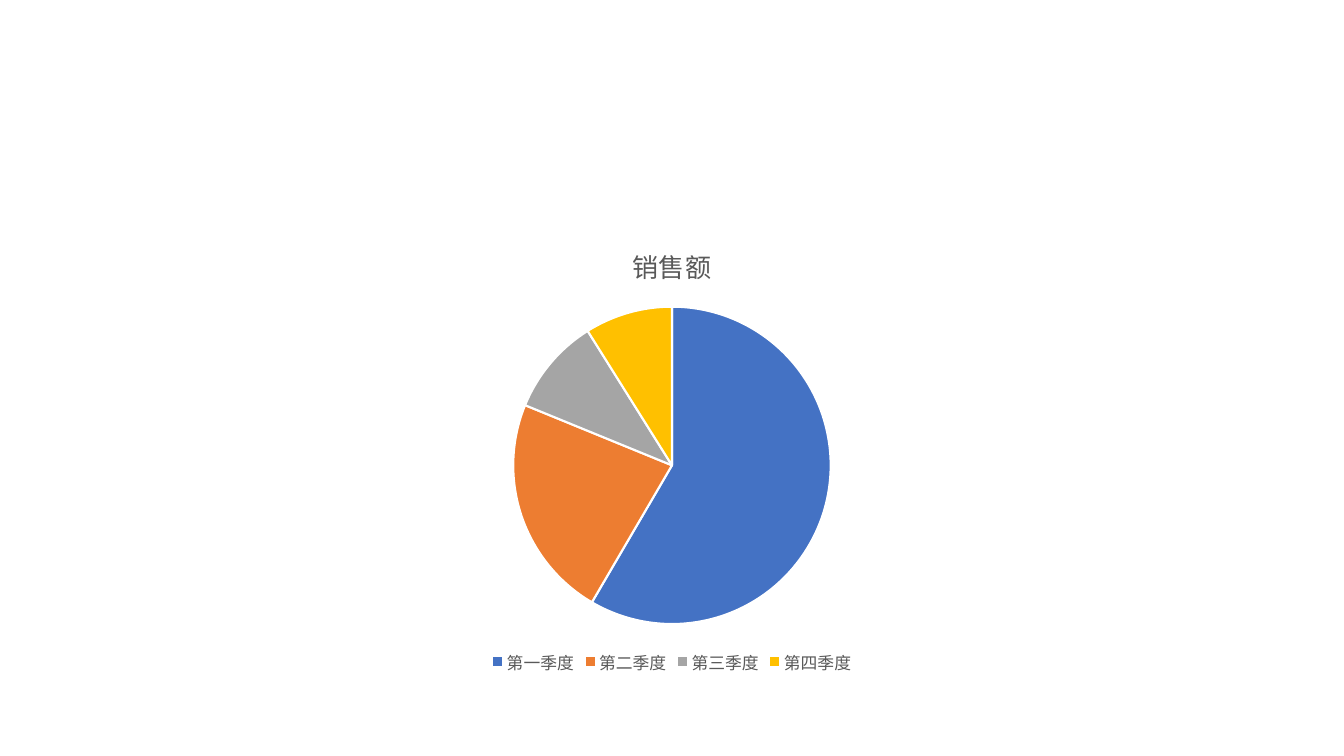
import copy

import pptx
import pptx.chart.data
import pptx.dml.color
import pptx.enum.chart
import pptx.oxml.ns
import pptx.util

FONT = "Noto Sans CJK SC"
COLORS = {"text": "595959", "base": "000000", "gap": "FFFFFF"}
TITLE = "销售额"
QUARTERS = [
    ("第一季度", 59, "4472C4"),
    ("第二季度", 23, "ED7D31"),
    ("第三季度", 10, "A5A5A5"),
    ("第四季度", 9, "FFC000"),
]


def rgb(color):
    return pptx.dml.color.RGBColor.from_string(color)


def set_font(font, size, color):
    font.name = FONT
    font.size = pptx.util.Pt(size)
    font.bold = False
    font.color.rgb = rgb(color)


def use_font_for_chinese(chart):
    """Give every Latin font setting its East Asian counterpart."""
    for latin in list(chart._chartSpace.iter(pptx.oxml.ns.qn("a:latin"))):
        east_asian = copy.deepcopy(latin)
        east_asian.tag = pptx.oxml.ns.qn("a:ea")
        latin.addnext(east_asian)


def add_pie(s, left, top, width, height):
    data = pptx.chart.data.CategoryChartData()
    data.categories = [name for name, _, _ in QUARTERS]
    data.add_series(TITLE, [value for _, value, _ in QUARTERS])
    chart = s.shapes.add_chart(
        pptx.enum.chart.XL_CHART_TYPE.PIE, left, top, width, height, data
    ).chart
    set_font(chart.font, 10, COLORS["base"])
    plot = chart.plots[0]
    plot.vary_by_categories = True
    for i, (_, _, color) in enumerate(QUARTERS):
        fmt = plot.series[0].points[i].format
        fmt.fill.solid()
        fmt.fill.fore_color.rgb = rgb(color)
        fmt.line.color.rgb = rgb(COLORS["gap"])
        fmt.line.width = pptx.util.Pt(1.5)
    return chart


def add_title(chart):
    chart.has_title = True
    chart.chart_title.include_in_layout = False
    tf = chart.chart_title.text_frame
    tf.text = TITLE
    set_font(tf.paragraphs[0].runs[0].font, 18.6, COLORS["text"])


def add_legend(chart):
    chart.has_legend = True
    chart.legend.position = pptx.enum.chart.XL_LEGEND_POSITION.BOTTOM
    chart.legend.include_in_layout = False
    set_font(chart.legend.font, 12, COLORS["text"])


def main():
    prs = pptx.Presentation()
    prs.slide_width = pptx.util.Inches(13.33)
    prs.slide_height = pptx.util.Inches(7.5)
    s = prs.slides.add_slide(prs.slide_layouts[6])
    column = prs.slide_width // 6
    row = prs.slide_height // 100
    chart = add_pie(s, column, 30 * row - row // 4, 4 * column, 60 * row)
    add_title(chart)
    add_legend(chart)
    use_font_for_chinese(chart)
    prs.save("out.pptx")


if __name__ == "__main__":
    main()
